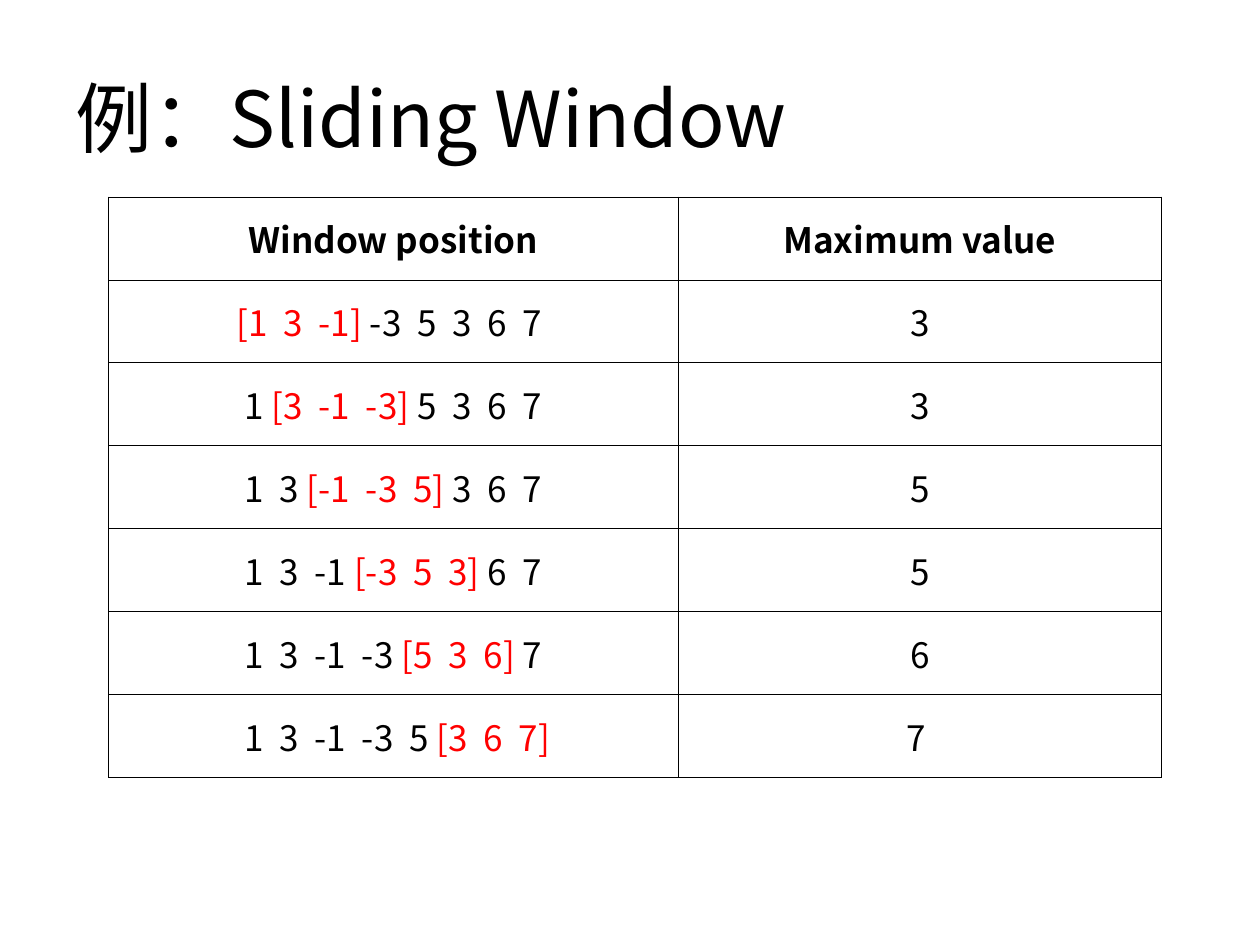
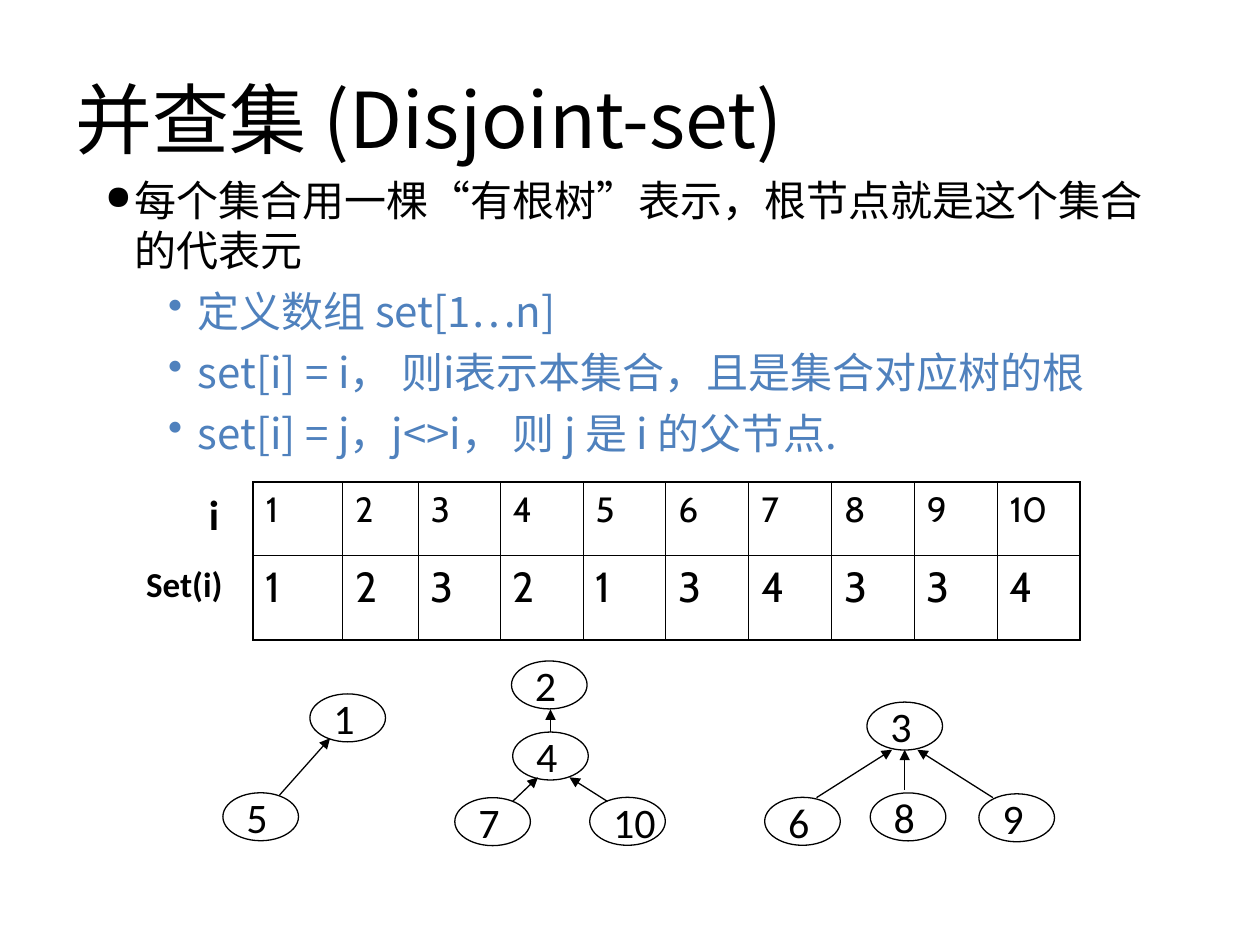
from typing import Any, NamedTuple

from lxml import etree
from pptx import Presentation, util as u
from pptx.dml.color import RGBColor
from pptx.enum import shapes, text
from pptx.oxml import ns

Pt = u.Pt
BLACK = RGBColor(0x00, 0x00, 0x00)
WHITE = RGBColor(0xFF, 0xFF, 0xFF)
RED = RGBColor(0xFF, 0x00, 0x00)
BLUE = RGBColor(0x4F, 0x81, 0xBD)
SANS, LABEL, DIGITS = "Noto Sans CJK SC", "Calibri", "Cabin"
MIDDLE, TOP = text.MSO_ANCHOR.MIDDLE, text.MSO_ANCHOR.TOP
CENTER, LEFT = text.PP_ALIGN.CENTER, text.PP_ALIGN.LEFT
NBSP = chr(160)


class Style(NamedTuple):
    size: float
    font: str = SANS
    color: RGBColor = BLACK
    bold: bool = False


class Box(NamedTuple):
    left: float
    top: float
    width: float
    height: float


class Node(NamedTuple):
    label: str
    left: float
    top: float


class Edge(NamedTuple):
    x1: float
    y1: float
    x2: float
    y2: float


class Bullet(NamedTuple):
    words: str
    level: int = 1
    mark: str = "•"
    mark_percent: int = 100
    color: RGBColor = BLUE


# Sliding window data
VALUES = [1, 3, -1, -3, 5, 3, 6, 7]
WINDOW = 3

# Disjoint-set data
PARENTS = [1, 2, 3, 2, 1, 3, 4, 3, 3, 4]
SET_COLUMNS = [51.1, 43.2, 46.8] + [47.35] * 7
BULLETS = [
    Bullet("每个集合用一棵“有根树”表示，根节点就是这个集合的代表元", 0, "●", 80, BLACK),
    Bullet("定义数组 set[1…n]"),
    Bullet("set[i] = i， 则i表示本集合，且是集合对应树的根"),
    Bullet("set[i] = j，j<>i， 则 j 是 i 的父节点."),
]
NODE_WIDTH, NODE_HEIGHT = 43.2, 27.4
NODES = [
    Node("1", 177.1, 396.5), Node("5", 127.4, 453),
    Node("2", 292.3, 377.7), Node("4", 293, 418.3),
    Node("7", 259.9, 455.8), Node("10", 337, 455.6),
    Node("3", 495.4, 401.2), Node("6", 437, 455.6),
    Node("8", 497.3, 453.1), Node("9", 559.4, 453.6),
]
EDGES = [
    Edge(159.8, 454.3, 188.6, 421.9),
    Edge(293, 457.9, 307.4, 444.2),
    Edge(347, 457.9, 325.4, 444.2),
    Edge(314.6, 418.3, 314.6, 405.4),
    Edge(466.6, 455.8, 509.8, 428.4),
    Edge(517, 451.4, 517, 428.4),
    Edge(567.4, 455.8, 524.2, 428.4),
]


def set_attrs(obj: Any, **values: Any) -> None:
    for name, value in values.items():
        setattr(obj, name, value)


def add_element(parent: Any, tag: str, **attrs: str) -> Any:
    return etree.SubElement(parent, ns.qn(tag), attrs)


def add_run(p: Any, words: str, style: Style) -> None:
    r = p.add_run()
    r.text = words
    set_attrs(r.font, size=Pt(style.size), name=style.font, bold=style.bold)
    r.font.color.rgb = style.color
    add_element(r.font._element, "a:ea", typeface=style.font)


def add_box(s: Any, box: Box, anchor: Any = TOP) -> Any:
    tf = s.shapes.add_textbox(*map(Pt, box)).text_frame
    set_attrs(tf, word_wrap=True, vertical_anchor=anchor)
    return tf


def add_label(s: Any, words: str, box: Box, style: Style, anchor: Any = TOP) -> None:
    add_run(add_box(s, box, anchor).paragraphs[0], words, style)


def add_title(s: Any, words: str, top: float) -> None:
    add_label(s, words, Box(36, top, 648, 90), Style(44), MIDDLE)


def add_grid(s: Any, left: float, top: float, cols: list[float], rows: list[float]) -> Any:
    size = map(Pt, (left, top, sum(cols), sum(rows)))
    table = s.shapes.add_table(len(rows), len(cols), *size).table
    set_attrs(table, first_row=False, horz_banding=False)
    for col, width in zip(table.columns, cols):
        col.width = Pt(width)
    for row, height in zip(table.rows, rows):
        row.height = Pt(height)
    return table


def style_cells(table: Any, inner: float, outer: float) -> None:
    """Give every cell a white fill and borders, heavier on the table's rim."""
    last_row, last_col = len(table.rows) - 1, len(table.columns) - 1
    for i, row in enumerate(table.rows):
        for j, cell in enumerate(row.cells):
            rim = {"L": j == 0, "R": j == last_col, "T": i == 0, "B": i == last_row}
            for side, on_rim in rim.items():
                width = Pt(outer if on_rim else inner)
                ln = add_element(cell._tc.get_or_add_tcPr(), f"a:ln{side}", w=str(width))
                add_element(add_element(ln, "a:solidFill"), "a:srgbClr", val=str(BLACK))
            cell.fill.solid()
            cell.fill.fore_color.rgb = WHITE


def add_bullet(p: Any, bullet: Bullet) -> None:
    set_attrs(p, level=bullet.level, space_before=Pt(6), line_spacing=1.0)
    pPr = p._p.get_or_add_pPr()
    pPr.set("marL", str(Pt(36 * (bullet.level + 1))))
    pPr.set("indent", str(Pt(-17)))
    add_element(add_element(pPr, "a:buClr"), "a:srgbClr", val=str(bullet.color))
    add_element(pPr, "a:buSzPct", val=str(bullet.mark_percent * 1000))
    add_element(pPr, "a:buChar", char=bullet.mark)
    add_run(p, bullet.words, Style(24, color=bullet.color))


def add_node(s: Any, node: Node) -> None:
    size = map(Pt, (node.left, node.top, NODE_WIDTH, NODE_HEIGHT))
    sp = s.shapes.add_shape(shapes.MSO_SHAPE.OVAL, *size)
    sp.shadow.inherit = False
    sp.fill.solid()
    sp.fill.fore_color.rgb = WHITE
    sp.line.color.rgb = BLACK
    sp.line.width = Pt(0.75)
    set_attrs(sp.text_frame, word_wrap=False, vertical_anchor=MIDDLE)
    p = sp.text_frame.paragraphs[0]
    p.alignment = LEFT
    add_run(p, node.label, Style(24, LABEL))


def add_edge(s: Any, edge: Edge) -> None:
    line = s.shapes.add_connector(shapes.MSO_CONNECTOR.STRAIGHT, *map(Pt, edge))
    line.line.color.rgb = BLACK
    line.line.width = Pt(0.75)
    add_element(line.line._get_or_add_ln(), "a:tailEnd", type="triangle")
    add_element(line._element.spPr, "a:effectLst")


def window_runs(start: int) -> list[tuple[str, RGBColor]]:
    """Split the values into the part before, in and after the window."""
    gap, end = NBSP * 2, start + WINDOW
    before, window, after = (
        gap.join(map(str, part))
        for part in (VALUES[:start], VALUES[start:end], VALUES[end:])
    )
    runs = [(f"{NBSP}{before}{NBSP}", BLACK), (f"[{window}]", RED),
            (f"{NBSP}{after}{NBSP}", BLACK)]
    return [run for run in runs if run[0].strip(NBSP)]


def sliding_window_slide(s: Any) -> None:
    add_title(s, "例：Sliding Window", 21.6)
    starts = range(len(VALUES) - WINDOW + 1)
    table = add_grid(s, 62, 112.5, [325.5, 276.2], [47.37] * (len(starts) + 1))
    style_cells(table, 0.23, 0.23)
    rows = [[[("Window position", BLACK)], [("Maximum value", BLACK)]]]
    for start in starts:
        largest = str(max(VALUES[start:start + WINDOW]))
        tail = " " if start == starts[-1] else ""
        rows.append([window_runs(start), [(largest + tail, BLACK)]])
    for i, row in enumerate(rows):
        for j, runs in enumerate(row):
            cell = table.cell(i, j)
            set_attrs(cell, vertical_anchor=MIDDLE, margin_left=Pt(0.7), margin_right=Pt(0.7))
            p = cell.text_frame.paragraphs[0]
            p.alignment = CENTER
            for words, color in runs:
                add_run(p, words, Style(20, color=color, bold=i == 0))


def disjoint_set_slide(s: Any) -> None:
    # Explanation
    tf = add_box(s, Box(34, 96, 630, 394))
    for i, bullet in enumerate(BULLETS):
        add_bullet(tf.add_paragraph() if i else tf.paragraphs[0], bullet)
    add_title(s, "并查集 (Disjoint-set)", 22)

    # Parent array
    table = add_grid(s, 144.7, 275.6, SET_COLUMNS, [41.9, 48.2])
    style_cells(table, 0.45, 1.08)
    indices = range(1, len(PARENTS) + 1)
    for i, (numbers, size, space) in enumerate([(indices, 20, 5), (PARENTS, 24, 6)]):
        for j, number in enumerate(numbers):
            p = table.cell(i, j).text_frame.paragraphs[0]
            p.space_before = Pt(space)
            add_run(p, str(number), Style(size, DIGITS))
    add_label(s, "i", Box(112.3, 275.8, 25.2, 36), Style(24, LABEL, bold=True))
    add_label(s, "Set(i)", Box(76.4, 317.9, 78.5, 31.7), Style(20, LABEL, bold=True))

    # Trees
    for node in NODES:
        add_node(s, node)
    for edge in EDGES:
        add_edge(s, edge)


def main() -> None:
    prs = Presentation()
    set_attrs(prs, slide_width=Pt(720), slide_height=Pt(540))
    for build in (sliding_window_slide, disjoint_set_slide):
        build(prs.slides.add_slide(prs.slide_layouts[6]))
    prs.save("out.pptx")


if __name__ == "__main__":
    main()
